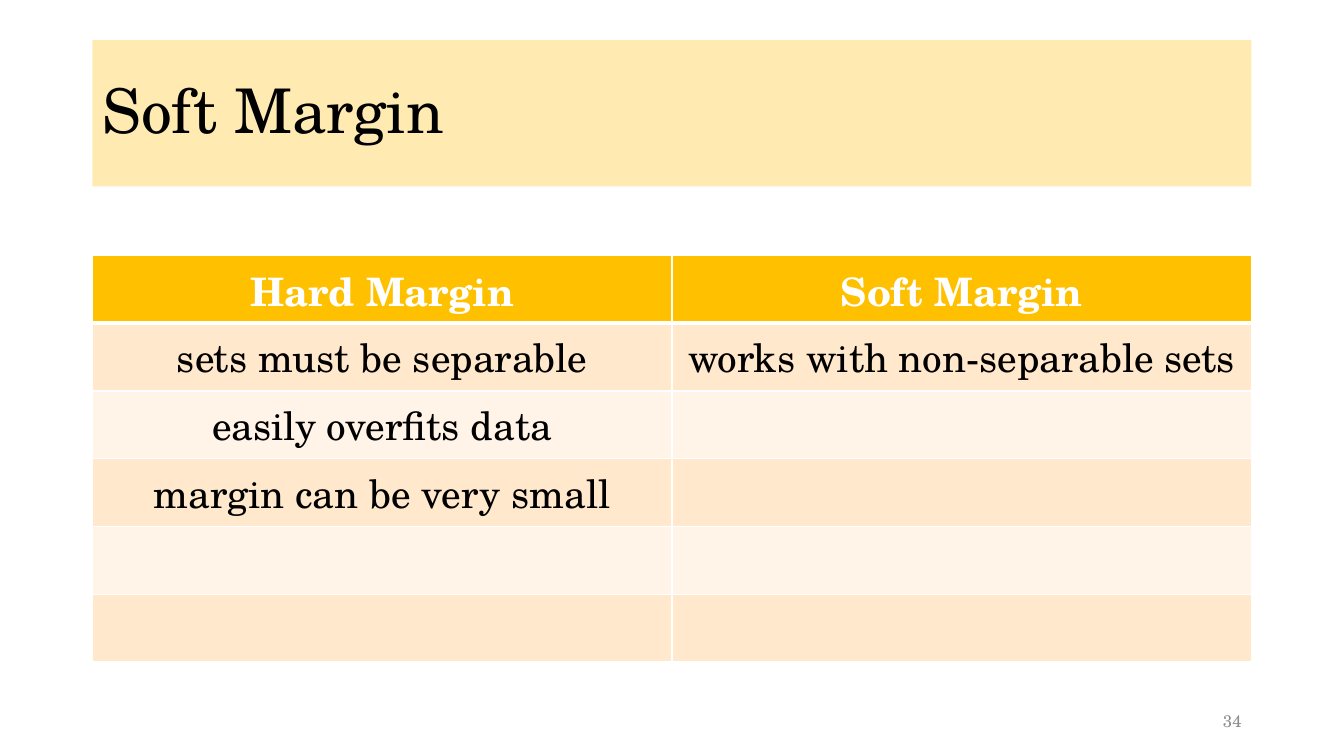
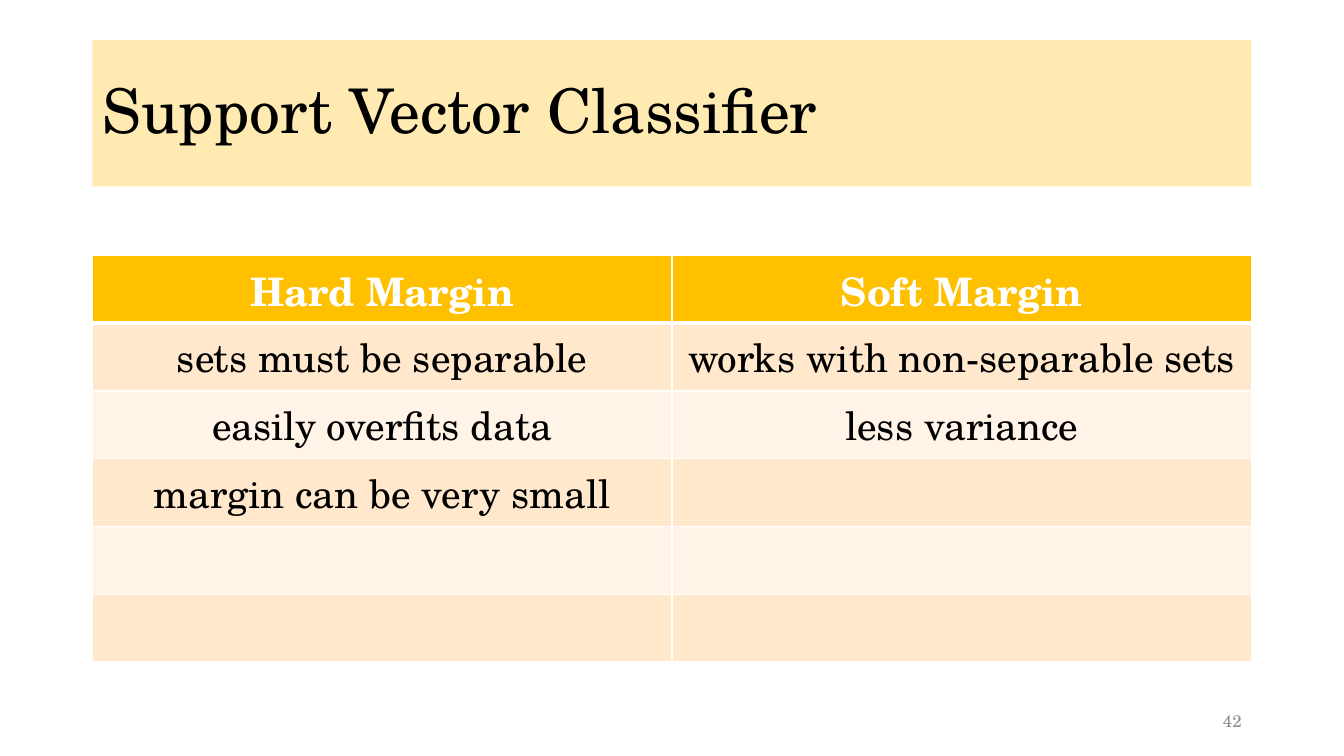
import pptx
import pptx.dml.color
import pptx.enum.shapes
import pptx.enum.text
import pptx.oxml
import pptx.oxml.ns
import pptx.util
import lxml.etree
from dataclasses import dataclass

HEADINGS = ("Hard Margin", "Soft Margin")
HARD_MARGIN = ("sets must be separable", "easily overfits data", "margin can be very small")
BODY_ROWS = 5
SLIDES = [
    {"title": "Soft Margin", "number": "34",
     "soft_margin": ("works with non-separable sets",)},
    {"title": "Support Vector Classifier", "number": "42",
     "soft_margin": ("works with non-separable sets", "less variance")},
]


@dataclass(frozen=True)
class Theme:
    font: str = "TeX Gyre Schola"
    title_size: float = 44
    table_size: float = 28
    number_size: float = 12
    text: str = "000000"
    muted: str = "8C8C8C"
    white: str = "FFFFFF"
    band: str = "FFD966"
    band_alpha: int = 50
    heading: str = "FFC000"
    stripes: tuple = ("FFE8CC", "FFF4E7")
    rule: float = 1
    heading_rule: float = 3


THEME = Theme()
Pt = pptx.util.Pt
ALIGN = pptx.enum.text.PP_ALIGN
MIDDLE = pptx.enum.text.MSO_ANCHOR.MIDDLE
SLIDE_WIDTH, SLIDE_HEIGHT = 960, 540
MARGIN = 66
CONTENT_WIDTH = SLIDE_WIDTH - 2 * MARGIN
BAND_TOP, BAND_HEIGHT = 28.75, 104.4
TABLE_TOP, ROW_HEIGHT = 182.5, 48.4
NUMBER_TOP, NUMBER_WIDTH, NUMBER_HEIGHT = 500.5, 216, 28.75


def rgb(code):
    return pptx.dml.color.RGBColor.from_string(code)


def write(frame, text, size, color, align=ALIGN.LEFT, bold=False):
    paragraph = frame.paragraphs[0]
    paragraph.alignment = align
    run = paragraph.add_run()
    run.text = text
    run.font.name = THEME.font
    run.font.size = Pt(size)
    run.font.bold = bold
    run.font.color.rgb = rgb(color)
    return paragraph


def add_title(slide, title):
    band = slide.shapes.add_shape(
        pptx.enum.shapes.MSO_SHAPE.RECTANGLE,
        Pt(MARGIN), Pt(BAND_TOP), Pt(CONTENT_WIDTH), Pt(BAND_HEIGHT))
    band.shadow.inherit = False
    band.line.fill.background()
    band.fill.solid()
    band.fill.fore_color.rgb = rgb(THEME.band)
    color = band.fill._xPr.find(".//" + pptx.oxml.ns.qn("a:srgbClr"))
    lxml.etree.SubElement(color, pptx.oxml.ns.qn("a:alpha"), val=str(THEME.band_alpha * 1000))
    band.text_frame.word_wrap = True
    band.text_frame.vertical_anchor = MIDDLE
    write(band.text_frame, title, THEME.title_size, THEME.text).line_spacing = 0.9


def add_number(slide, number):
    left = SLIDE_WIDTH - MARGIN - NUMBER_WIDTH
    box = slide.shapes.add_textbox(Pt(left), Pt(NUMBER_TOP), Pt(NUMBER_WIDTH), Pt(NUMBER_HEIGHT))
    box.text_frame.word_wrap = True
    box.text_frame.vertical_anchor = MIDDLE
    write(box.text_frame, number, THEME.number_size, THEME.muted, ALIGN.RIGHT)


def add_borders(cell, row):
    widths = {"L": THEME.rule, "R": THEME.rule,
              "T": THEME.heading_rule if row == 1 else THEME.rule,
              "B": THEME.heading_rule if row == 0 else THEME.rule}
    properties = cell._tc.get_or_add_tcPr()
    for side, width in widths.items():
        line = lxml.etree.SubElement(properties, pptx.oxml.ns.qn("a:ln" + side), w=str(Pt(width)))
        fill = lxml.etree.SubElement(line, pptx.oxml.ns.qn("a:solidFill"))
        lxml.etree.SubElement(fill, pptx.oxml.ns.qn("a:srgbClr"), val=THEME.white)


def add_comparison(slide, columns):
    row_count = BODY_ROWS + 1
    table = slide.shapes.add_table(
        row_count, len(columns), Pt(MARGIN), Pt(TABLE_TOP),
        Pt(CONTENT_WIDTH), Pt(ROW_HEIGHT * row_count)).table
    table.first_row = False
    table.horz_banding = False
    for column, entries in enumerate(columns):
        for row in range(row_count):
            cell = table.cell(row, column)
            is_heading = row == 0
            add_borders(cell, row)
            cell.fill.solid()
            cell.fill.fore_color.rgb = rgb(
                THEME.heading if is_heading else THEME.stripes[(row - 1) % 2])
            if row < len(entries):
                write(cell.text_frame, entries[row], THEME.table_size,
                      THEME.white if is_heading else THEME.text, ALIGN.CENTER, is_heading)


def main():
    deck = pptx.Presentation()
    deck.slide_width, deck.slide_height = Pt(SLIDE_WIDTH), Pt(SLIDE_HEIGHT)
    for content in SLIDES:
        slide = deck.slides.add_slide(deck.slide_layouts[6])
        add_title(slide, content["title"])
        add_number(slide, content["number"])
        bodies = (HARD_MARGIN, content["soft_margin"])
        add_comparison(slide, [(heading, *body) for heading, body in zip(HEADINGS, bodies)])
    deck.save("out.pptx")


if __name__ == "__main__":
    main()
